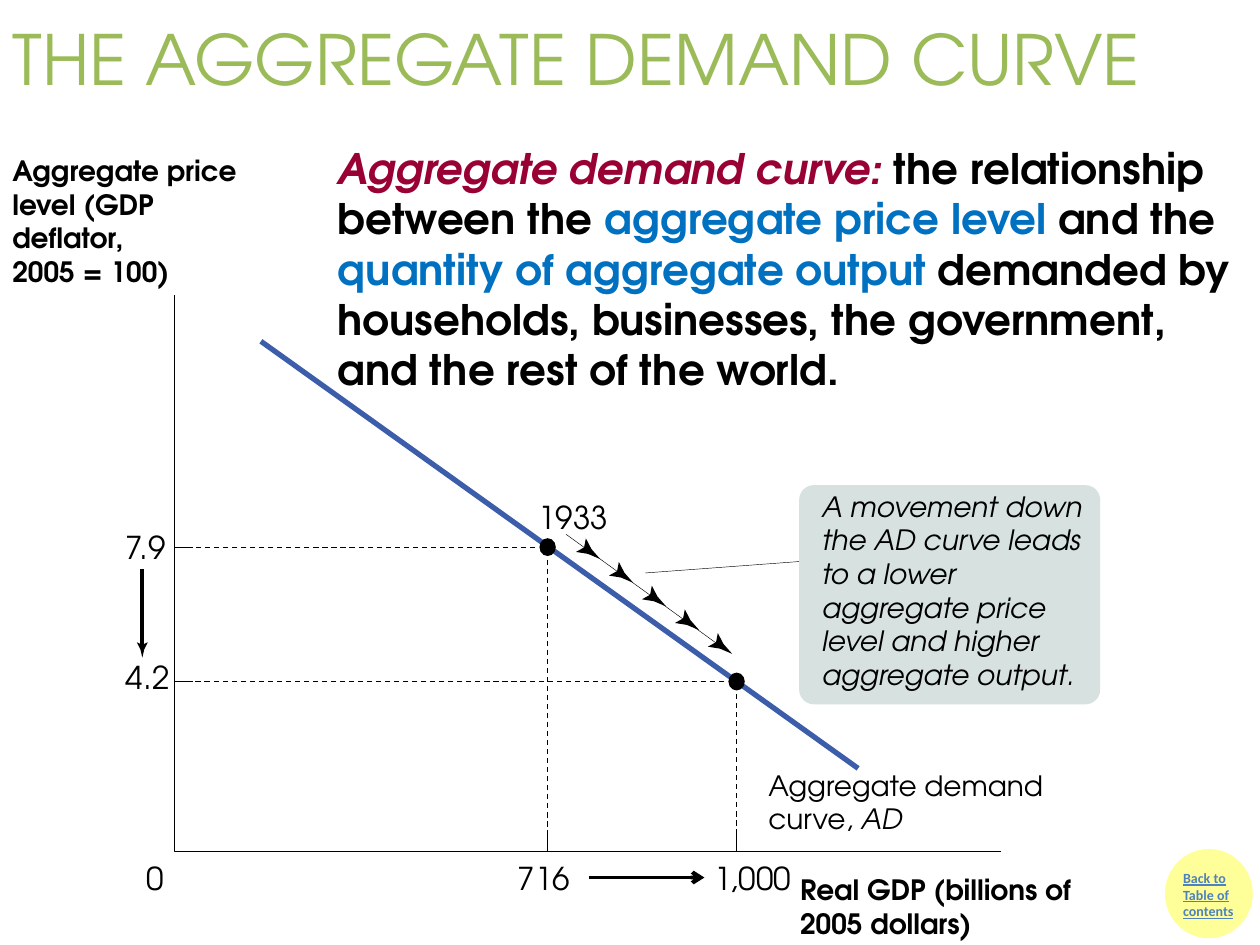
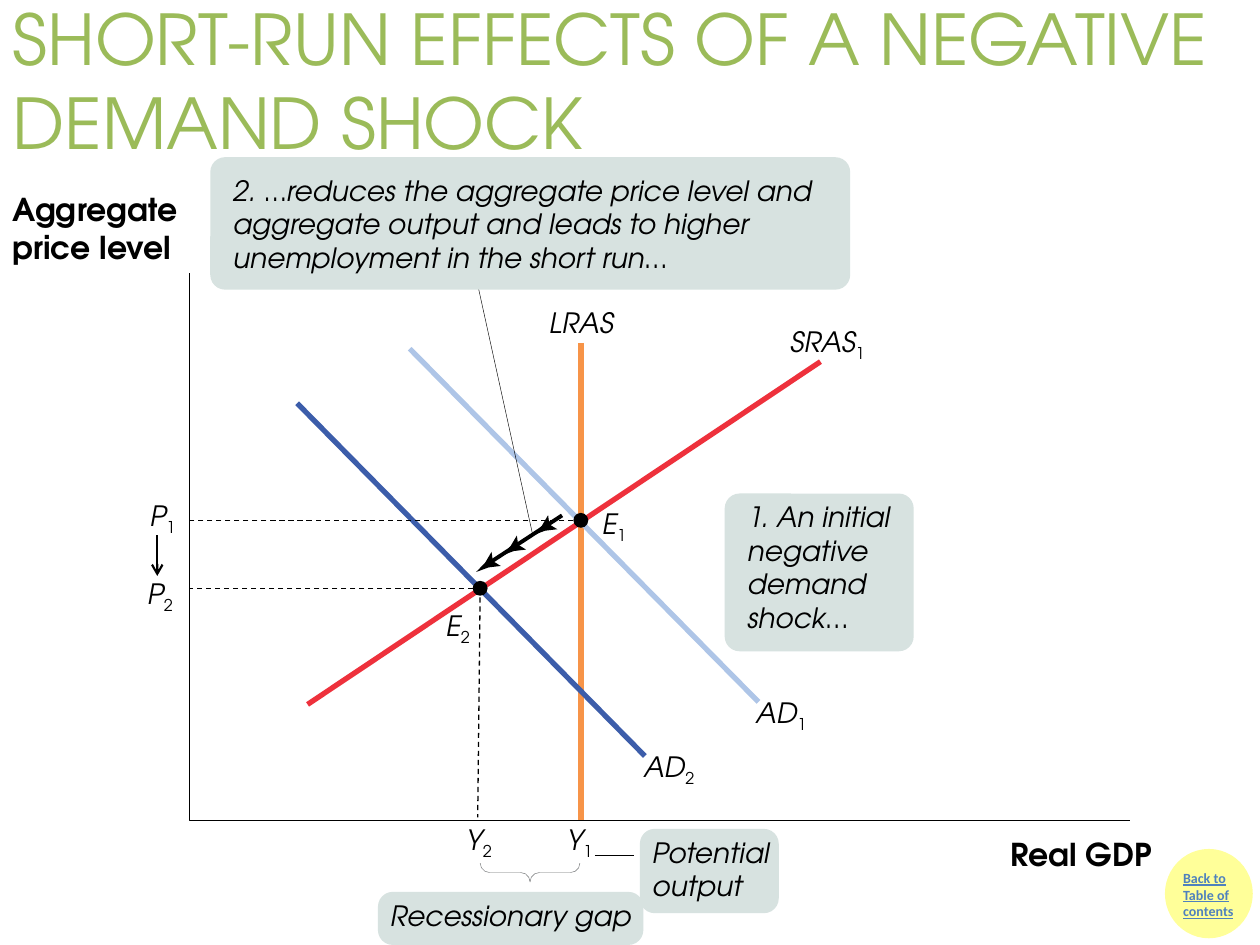
import math
from dataclasses import dataclass

import pptx
import pptx.dml.color
import pptx.enum.dml
import pptx.enum.shapes
import pptx.enum.text
import pptx.oxml
import pptx.oxml.ns
import pptx.slide
import pptx.util

Cm, Pt = pptx.util.Cm, pptx.util.Pt
RGBColor = pptx.dml.color.RGBColor
MSO_SHAPE = pptx.enum.shapes.MSO_SHAPE
MSO_ANCHOR = pptx.enum.text.MSO_ANCHOR
MSO_AUTO_SIZE = pptx.enum.text.MSO_AUTO_SIZE
qn = pptx.oxml.ns.qn

FONT = "TeX Gyre Adventor"
BLACK = RGBColor(0x00, 0x00, 0x00)
GREEN = RGBColor(0x9B, 0xBB, 0x59)
CRIMSON = RGBColor(0x99, 0x00, 0x33)
BRIGHT_BLUE = RGBColor(0x00, 0x70, 0xC0)
LINK_BLUE = RGBColor(0x4F, 0x81, 0xBD)
YELLOW = RGBColor(0xFF, 0xFF, 0x99)
DEMAND_BLUE = RGBColor(0x3C, 0x5D, 0xAA)
PALE_BLUE = RGBColor(0xAE, 0xC5, 0xE7)
SUPPLY_RED = RGBColor(0xEE, 0x31, 0x3C)
ORANGE = RGBColor(0xF7, 0x94, 0x48)
CALLOUT_GRAY = RGBColor(0xD7, 0xE2, 0xE0)
BRACE_GRAY = RGBColor(0x6D, 0x6F, 0x71)

HAIRLINE, DASH_WIDTH, CURVE_WIDTH = 0.25, 0.75, 3
CORNER_RADIUS = 0.3
# Barbed arrowhead pointing right, with its tip at the origin
ARROWHEAD = [(0, 0), (-0.26, -0.06), (-0.48, -0.17), (-0.4, 0),
             (-0.48, 0.17), (-0.26, 0.06)]


# ---- Text ----
def write(frame, paragraphs, size=16, color=BLACK, font=FONT, bold=False,
          italic=False, underline=False, margins=None, wrap=True,
          anchor=MSO_ANCHOR.TOP, plain_list=False):
    """Fill a frame; a paragraph is a string or a list of (text, overrides) runs."""
    frame.word_wrap = wrap
    frame.auto_size = MSO_AUTO_SIZE.NONE
    frame.vertical_anchor = anchor
    if margins:
        (frame.margin_left, frame.margin_top,
         frame.margin_right, frame.margin_bottom) = [Cm(m) for m in margins]
    for index, runs in enumerate(paragraphs):
        paragraph = frame.paragraphs[0] if index == 0 else frame.add_paragraph()
        if plain_list:
            properties = paragraph._p.get_or_add_pPr()
            properties.set("marL", "0")
            properties.set("indent", "0")
            properties.append(pptx.oxml.parse_xml(
                f'<a:buNone {pptx.oxml.ns.nsdecls("a")}/>'))
        paragraph.alignment = pptx.enum.text.PP_ALIGN.LEFT
        paragraph.space_before = Pt(0)
        for text, overrides in [(runs, {})] if isinstance(runs, str) else runs:
            run = paragraph.add_run()
            run.text = text
            run.font.name = font
            run.font.size = Pt(size)
            run.font.bold = bold
            run.font.italic = overrides.get("italic", italic)
            run.font.underline = underline
            run.font.color.rgb = overrides.get("color", color)
            if overrides.get("subscript"):
                run._r.get_or_add_rPr().set("baseline", "-25000")


def symbol(name, number=None):
    runs = [(name, {"italic": True})]
    if number:
        runs.append((number, {"subscript": True}))
    return runs


def paint(shape, fill=None, line=None, width=HAIRLINE):
    shape.shadow.inherit = False
    if fill is None:
        shape.fill.background()
    else:
        shape.fill.solid()
        shape.fill.fore_color.rgb = fill
    if line is None:
        shape.line.fill.background()
    else:
        shape.line.color.rgb = line
        shape.line.width = Pt(width)
    return shape


# ---- Diagram parts, measured in cm from the top of the vertical axis ----
@dataclass
class Diagram:
    slide: pptx.slide.Slide
    left: float
    top: float
    width: float
    height: float

    def point(self, x, y):
        return Cm(self.left + x), Cm(self.top + y)

    def box(self, x, y, width, height):
        return *self.point(x, y), Cm(width), Cm(height)

    def outline(self, points, close):
        places = [self.point(*point) for point in points]
        builder = self.slide.shapes.build_freeform(*places[0], scale=1.0)
        builder.add_line_segments(places[1:], close=close)
        return builder.convert_to_shape()

    def axes(self):
        corner = [(self.width, self.height), (0, self.height), (0, 0)]
        paint(self.outline(corner, False), line=BLACK)

    def line(self, start, end, color=BLACK, width=HAIRLINE, dashed=False,
             arrow=False):
        connector = self.slide.shapes.add_connector(
            pptx.enum.shapes.MSO_CONNECTOR.STRAIGHT,
            *self.point(*start), *self.point(*end))
        connector.line.color.rgb = color
        connector.line.width = Pt(width)
        if dashed:
            connector.line.dash_style = pptx.enum.dml.MSO_LINE.DASH
        properties = connector.element.spPr
        if arrow:
            tail = pptx.oxml.parse_xml(
                f'<a:tailEnd {pptx.oxml.ns.nsdecls("a")} type="arrow"/>')
            properties.find(qn("a:ln")).append(tail)
        properties.append(pptx.oxml.parse_xml(
            f'<a:effectLst {pptx.oxml.ns.nsdecls("a")}/>'))

    def guide(self, start, end):
        self.line(start, end, width=DASH_WIDTH, dashed=True)

    def dot(self, x, y, width, height):
        paint(self.slide.shapes.add_shape(
            MSO_SHAPE.OVAL,
            *self.box(x - width / 2, y - height / 2, width, height)), BLACK)

    def barbed_arrow(self, start, end, tips, width=HAIRLINE, scale=1):
        self.line(start, end, width=width)
        angle = math.atan2(end[1] - start[1], end[0] - start[0])
        cosine, sine = scale * math.cos(angle), scale * math.sin(angle)
        for x, y in tips:
            paint(self.outline([(x + a * cosine - b * sine, y + a * sine + b * cosine)
                                for a, b in ARROWHEAD], True), BLACK)

    def label(self, x, y, width, runs, size=16, height=0.69):
        box = self.slide.shapes.add_textbox(*self.box(x, y, width, height))
        write(box.text_frame, [runs], size=size, margins=(0, 0, 0, 0), wrap=False)

    def caption(self, x, y, width, height, paragraphs, **text_format):
        box = self.slide.shapes.add_textbox(*self.box(x, y, width, height))
        write(box.text_frame, paragraphs, **text_format)

    def callout(self, x, y, width, height, paragraphs, indent=0.37, drop=0.04):
        shape = paint(self.slide.shapes.add_shape(
            MSO_SHAPE.ROUNDED_RECTANGLE, *self.box(x, y, width, height)), CALLOUT_GRAY)
        shape.adjustments[0] = CORNER_RADIUS / min(width, height)
        write(shape.text_frame, paragraphs, italic=True, margins=(indent, drop, 0, 0))

    def brace_below(self, x, y, width, height):
        """Right brace turned a quarter so that it points down."""
        shape = paint(self.slide.shapes.add_shape(
            MSO_SHAPE.RIGHT_BRACE,
            *self.box(x + (width - height) / 2, y + (height - width) / 2,
                      height, width)), line=BRACE_GRAY)
        shape.rotation = 90
        shape.adjustments[0] = 0.5


# ---- Shared slide parts ----
def place(shape, left, top, width, height):
    shape.left, shape.top = Cm(left), Cm(top)
    shape.width, shape.height = Cm(width), Cm(height)


def add_title(slide, text, top, size):
    place(slide.shapes.title, 0, top, 25.4, 2.34)
    write(slide.shapes.title.text_frame, [text], size=size, color=GREEN,
          anchor=MSO_ANCHOR.MIDDLE)


def add_contents_badge(slide, master, left, top):
    """Draw the badge once and move it to the master."""
    circle = slide.shapes.add_shape(
        MSO_SHAPE.OVAL, Cm(left), Cm(top), Cm(1.7), Cm(1.73))
    paint(circle, YELLOW, YELLOW, 2)
    box = slide.shapes.add_textbox(Cm(left + 0.08), Cm(top + 0.25), Cm(1.83), Cm(1.7))
    write(box.text_frame, ["Back to Table of contents"], size=8, font="Calibri",
          color=LINK_BLUE, bold=True, underline=True)
    for shape in (circle, box):
        master.shapes.element.append(shape.element)


# ---- Slide 1 ----
def add_definition(slide, left, top, width, height):
    body = slide.placeholders[1]
    place(body, left, top, width, height)
    blue = {"color": BRIGHT_BLUE}
    write(body.text_frame, [[
        ("Aggregate demand curve: ", {"color": CRIMSON, "italic": True}),
        ("the relationship between the ", {}),
        ("aggregate price level ", blue),
        ("and the ", {}),
        ("quantity of aggregate output ", blue),
        ("demanded by households, businesses, the government, "
         "and the rest of the world.", {}),
    ]], size=24, bold=True, plain_list=True)


def draw_demand_curve(slide, left, top, width, height):
    diagram = Diagram(slide, left, top, width, height)
    points = [(7.53, 5.09), (11.34, 7.8)]
    diagram.line((1.75, 0.94), (13.79, 9.55), DEMAND_BLUE, CURVE_WIDTH)
    diagram.axes()
    for x, y in points:
        diagram.line((x, height), (x, height - 0.43))
        diagram.line((0, y), (0.38, y))
        diagram.guide((x - 0.25, y), (0.33, y))
        diagram.guide((x, y + 0.25), (x, height - 0.3))
        diagram.dot(x, y, 0.33, 0.36)

    # Axis values and captions
    for text, x, y, text_width in [
            ("7.9", -0.97, 4.7, 0.89), ("4.2", -0.97, 7.32, 0.89),
            ("1933", 7.34, 4.11, 1.42), ("0", -0.56, 11.38, 0.36),
            ("716", 6.93, 11.38, 1.07), ("1,000", 10.9, 11.38, 1.6)]:
        diagram.label(x, y, text_width, text, size=18, height=0.76)
    diagram.caption(-left, -2.97, 5.26, 3, [
        "Aggregate price", "level (GDP deflator,", "2005 = 100)"], bold=True)
    diagram.caption(12.37, 11.53, 6.55, 1.63,
                    ["Real GDP (billions of 2005 dollars)"], bold=True)
    diagram.caption(11.73, 9.42, 6.35, 1.63, [
        "Aggregate demand", [("curve, ", {}), ("AD", {"italic": True})]])

    # Movement along the curve
    diagram.line((9.5, 5.61), (12.6, 5.38))
    diagram.callout(12.6, 3.84, 6.07, 4.42, [
        "A movement down the AD curve leads to a lower aggregate price level "
        "and higher aggregate output."], drop=0)
    diagram.barbed_arrow((7.9, 4.83), (10.95, 7.04), [
        (8.59 + 0.665 * step, 5.33 + 0.4775 * step) for step in range(5)])
    diagram.barbed_arrow((-0.64, 5.54), (-0.64, 7.09), [(-0.64, 7.32)], 2.25, 0.65)
    diagram.line((8.36, 11.75), (10.69, 11.75), width=2.25, arrow=True)


# ---- Slide 2 ----
def draw_demand_shock(slide, left, top, width, height):
    diagram = Diagram(slide, left, top, width, height)
    first, second = (7.9, 4.98), (5.87, 6.35)
    for start, end, color in [
            ((2.39, 8.69), (12.73, 1.78), SUPPLY_RED),
            ((7.9, 1.4), (7.9, height), ORANGE),
            ((2.18, 2.62), (9.19, 9.73), DEMAND_BLUE),
            ((4.45, 1.52), (11.48, 8.64), PALE_BLUE)]:
        diagram.line(start, end, color, CURVE_WIDTH)
    diagram.axes()
    diagram.guide(second, (5.82, height - 0.05))
    for x, y in (first, second):
        diagram.guide((x - 0.15, y), (0, y))
        diagram.dot(x, y, 0.3, 0.3)

    # Curve, point and axis labels
    for name, number, x, y, text_width in [
            ("Y", "1", 7.62, 11.07, 0.64), ("Y", "2", 5.59, 11.07, 0.64),
            ("P", "1", -0.79, 4.55, 0.64), ("P", "2", -0.84, 6.12, 0.64),
            ("E", "1", 8.33, 4.7, 0.58), ("E", "2", 5.18, 6.76, 0.58),
            ("AD", "1", 11.43, 8.51, 1.14), ("AD", "2", 9.17, 9.6, 1.14),
            ("SRAS", "1", 12.12, 1.04, 1.63), ("LRAS", None, 7.26, 0.66, 1.42)]:
        diagram.label(x, y, text_width, symbol(name, number))
    diagram.caption(16.31, 11.2, 4.01, 1.02, ["Real GDP"], size=18, bold=True)
    diagram.caption(-left, -1.8, 4.24, 1.78, ["Aggregate price level"],
                    size=18, bold=True)

    # Callouts and their leaders
    diagram.line((6.93, 5.28), (5.69, -0.36))
    diagram.callout(0.43, -2.34, 12.9, 2.67, [
        "2. …reduces the aggregate price level and aggregate output and leads "
        "to higher unemployment in the short run…"], drop=0.24)
    diagram.callout(10.8, 4.44, 3.81, 3.18,
                    ["1. An initial", "negative", "demand shock…"])
    diagram.line((8.18, 11.73), (8.97, 11.73))
    diagram.callout(9.09, 11.2, 2.8, 1.7, ["Potential", "output"], indent=0.16)
    diagram.callout(3.81, 12.47, 5.35, 1.07, ["Recessionary gap"], indent=0.16)
    diagram.brace_below(5.87, 11.89, 2.01, 0.38)

    # Movement of the equilibrium
    diagram.barbed_arrow((7.52, 4.88), (6.05, 5.84),
                         [(5.79, 6.02), (6.3, 5.69), (6.93, 5.28)], 2.25)
    diagram.line((-0.64, 5.28), (-0.64, 6.1), width=1.25, arrow=True)


def main():
    presentation = pptx.Presentation()
    presentation.slide_width, presentation.slide_height = Cm(25.4), Cm(19.05)
    layouts = presentation.slide_layouts

    slide = presentation.slides.add_slide(layouts.get_by_name("Title and Content"))
    add_contents_badge(slide, presentation.slide_master, 23.52, 17.15)
    add_title(slide, "THE AGGREGATE DEMAND CURVE", 0, 39.6)
    add_definition(slide, 6.55, 2.74, 18.62, 5.51)
    draw_demand_curve(slide, 3.51, 5.94, 16.66, 11.23)

    slide = presentation.slides.add_slide(layouts.get_by_name("Title Only"))
    add_title(slide, "SHORT-RUN EFFECTS OF A NEGATIVE DEMAND SHOCK", 0.43, 40)
    draw_demand_shock(slide, 3.81, 5.51, 18.97, 11.02)

    presentation.save("out.pptx")


if __name__ == "__main__":
    main()
